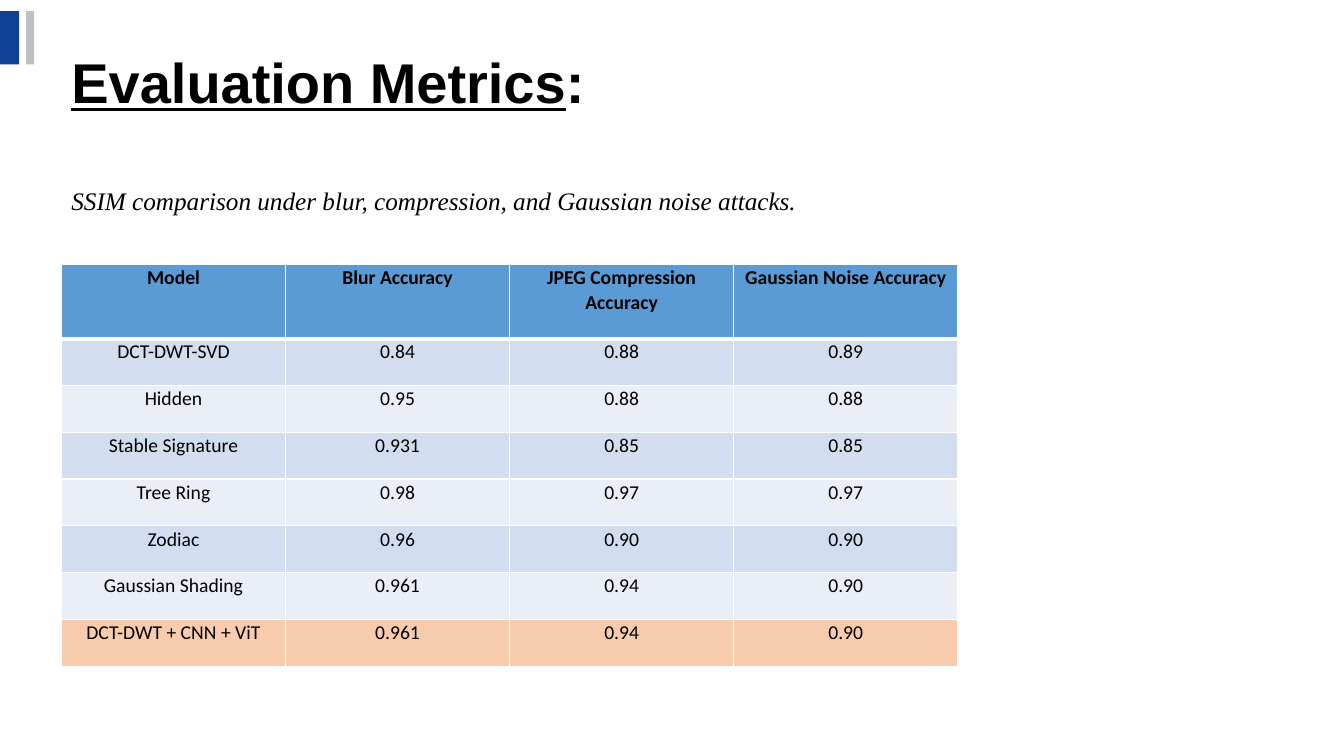
from dataclasses import dataclass

from lxml import etree
from pptx import Presentation
from pptx.dml.color import RGBColor
from pptx.enum.shapes import MSO_SHAPE
from pptx.enum.text import MSO_AUTO_SIZE, PP_ALIGN
from pptx.oxml.ns import qn
from pptx.util import Emu, Pt

RECTANGLE = MSO_SHAPE.RECTANGLE
GROW = MSO_AUTO_SIZE.SHAPE_TO_FIT_TEXT
CENTER = PP_ALIGN.CENTER
EMU_PER_PX = 9144


@dataclass(frozen=True)
class Theme:
    ink: str = "000000"
    accent: str = "0E4094"
    grey: str = "BFBFBF"
    header: str = "5B9BD5"
    bands: tuple[str, str] = ("D2DEEF", "EAEFF7")
    highlight: str = "F8CBAD"
    border: str = "FFFFFF"
    title_font: str = "Arial"
    caption_font: str = "Times New Roman"
    table_font: str = "Calibri"
    title_size: int = 40
    caption_size: int = 18
    table_size: int = 14
    thin: int = 1
    thick: int = 3


THEME = Theme()


@dataclass(frozen=True)
class Box:
    left: int
    top: int
    width: int
    height: int

    def emu(self) -> tuple[Emu, Emu, Emu, Emu]:
        return px(self.left), px(self.top), px(self.width), px(self.height)


@dataclass(frozen=True)
class Bar:
    box: Box
    color: str


@dataclass(frozen=True)
class Segment:
    text: str
    underline: bool = False


@dataclass(frozen=True)
class Line:
    box: Box
    segments: tuple[Segment, ...]
    font: str
    size: int
    bold: bool = False
    italic: bool = False


@dataclass(frozen=True)
class Score:
    model: str
    blur: str
    jpeg: str
    noise: str

    def texts(self) -> tuple[str, str, str, str]:
        return self.model, self.blur, self.jpeg, self.noise


BARS = (
    Bar(Box(0, 11, 19, 53), THEME.accent),
    Bar(Box(26, 11, 8, 53), THEME.grey),
)
TITLE = Line(
    Box(61, 42, 1172, 77),
    (Segment("Evaluation Metrics", underline=True), Segment(":")),
    THEME.title_font, THEME.title_size, bold=True,
)
CAPTION = Line(
    Box(61, 179, 784, 40),
    (Segment("SSIM comparison under blur, compression, and Gaussian noise attacks."),),
    THEME.caption_font, THEME.caption_size, italic=True,
)
TABLE_BOX = Box(61, 262, 889, 399)
HEADER_HEIGHT = 74
SCORES = (
    Score("Model", "Blur Accuracy", "JPEG Compression Accuracy", "Gaussian Noise Accuracy"),
    Score("DCT-DWT-SVD", "0.84", "0.88", "0.89"),
    Score("Hidden", "0.95", "0.88", "0.88"),
    Score("Stable Signature", "0.931", "0.85", "0.85"),
    Score("Tree Ring", "0.98", "0.97", "0.97"),
    Score("Zodiac", "0.96", "0.90", "0.90"),
    Score("Gaussian Shading", "0.961", "0.94", "0.90"),
    Score("DCT-DWT + CNN + ViT", "0.961", "0.94", "0.90"),
)


def px(length: int) -> Emu:
    return Emu(length * EMU_PER_PX)


def style_font(font, name: str, size: int, bold: bool, italic: bool = False) -> None:
    font.name = name
    font.size = Pt(size)
    font.bold = bold
    font.italic = italic
    font.color.rgb = RGBColor.from_string(THEME.ink)


def draw_bar(slide, bar: Bar) -> None:
    mark = slide.shapes.add_shape(RECTANGLE, *bar.box.emu())
    mark.shadow.inherit = False
    mark.fill.solid()
    mark.fill.fore_color.rgb = RGBColor.from_string(bar.color)
    mark.line.fill.background()


def draw_line(slide, line: Line) -> None:
    frame = slide.shapes.add_textbox(*line.box.emu()).text_frame
    frame.word_wrap = True
    frame.auto_size = GROW
    paragraph = frame.paragraphs[0]
    style_font(paragraph.font, line.font, line.size, line.bold, line.italic)
    for segment in line.segments:
        run = paragraph.add_run()
        run.text = segment.text
        if segment.underline:
            run.font.underline = True


def set_borders(cell, top: int, bottom: int) -> None:
    properties = cell._tc.get_or_add_tcPr()
    widths = {"a:lnL": THEME.thin, "a:lnR": THEME.thin, "a:lnT": top, "a:lnB": bottom}
    for position, (tag, width) in enumerate(widths.items()):
        edge = etree.Element(qn(tag), w=str(Pt(width)))
        fill = etree.SubElement(edge, qn("a:solidFill"))
        etree.SubElement(fill, qn("a:srgbClr"), val=THEME.border)
        properties.insert(position, edge)


def row_color(row: int) -> str:
    if row == 0:
        return THEME.header
    if row == len(SCORES) - 1:
        return THEME.highlight
    return THEME.bands[(row - 1) % 2]


def fill_cell(cell, text: str, row: int) -> None:
    cell.margin_left = cell.margin_right = px(7)
    cell.margin_top = cell.margin_bottom = 0
    cell.fill.solid()
    cell.fill.fore_color.rgb = RGBColor.from_string(row_color(row))
    set_borders(
        cell,
        top=THEME.thick if row == 1 else THEME.thin,
        bottom=THEME.thick if row == 0 else THEME.thin,
    )
    paragraph = cell.text_frame.paragraphs[0]
    paragraph.text = text
    paragraph.alignment = CENTER
    paragraph.line_spacing = 1.07
    paragraph.space_after = Pt(8)
    style_font(paragraph.font, THEME.table_font, THEME.table_size, bold=row == 0)


def draw_scores(slide) -> None:
    columns = len(SCORES[0].texts())
    table = slide.shapes.add_table(len(SCORES), columns, *TABLE_BOX.emu()).table
    for column in table.columns:
        column.width = px(TABLE_BOX.width) // columns
    body_height = px(TABLE_BOX.height - HEADER_HEIGHT) // (len(SCORES) - 1)
    for index, score in enumerate(SCORES):
        table.rows[index].height = body_height if index else px(HEADER_HEIGHT)
        for column, text in enumerate(score.texts()):
            fill_cell(table.cell(index, column), text, index)


def main() -> None:
    deck = Presentation()
    deck.slide_width, deck.slide_height = px(1333), px(750)
    slide = deck.slides.add_slide(deck.slide_layouts[6])
    for bar in BARS:
        draw_bar(slide, bar)
    draw_line(slide, TITLE)
    draw_scores(slide)
    draw_line(slide, CAPTION)
    deck.save("out.pptx")


if __name__ == "__main__":
    main()
